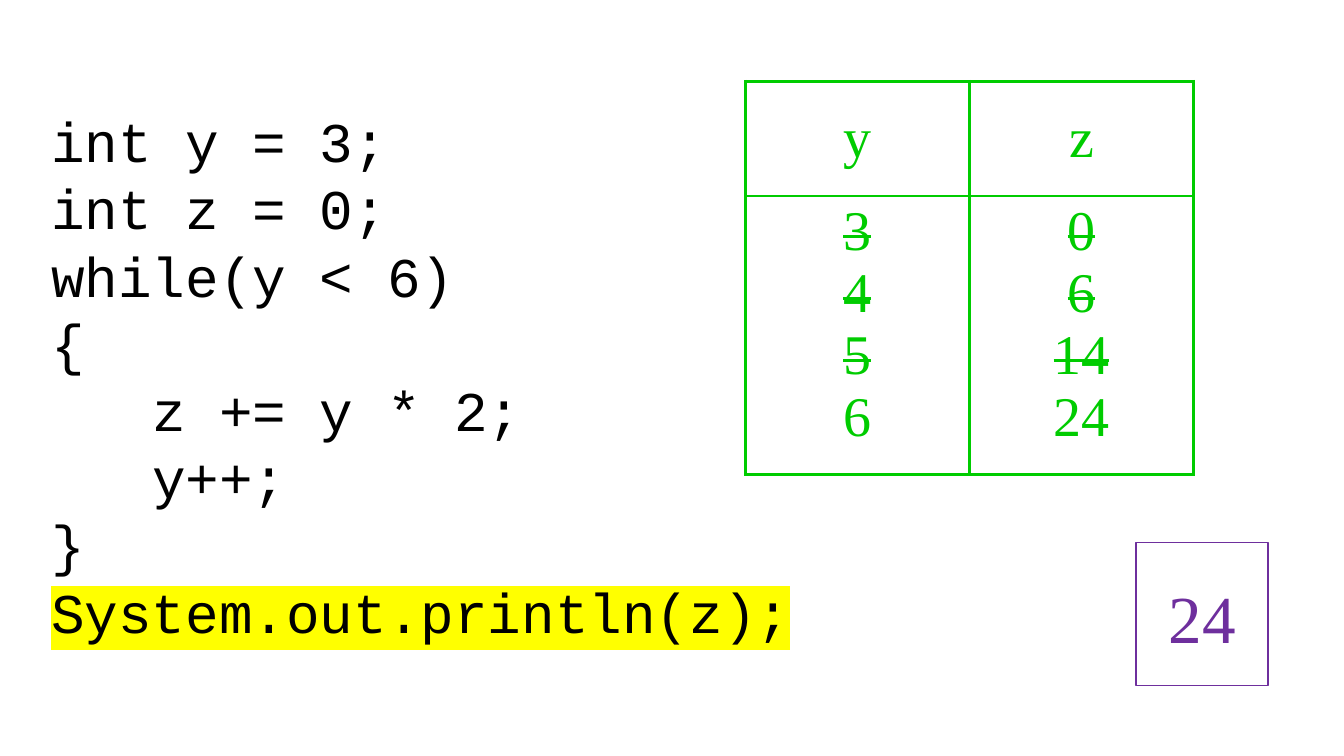
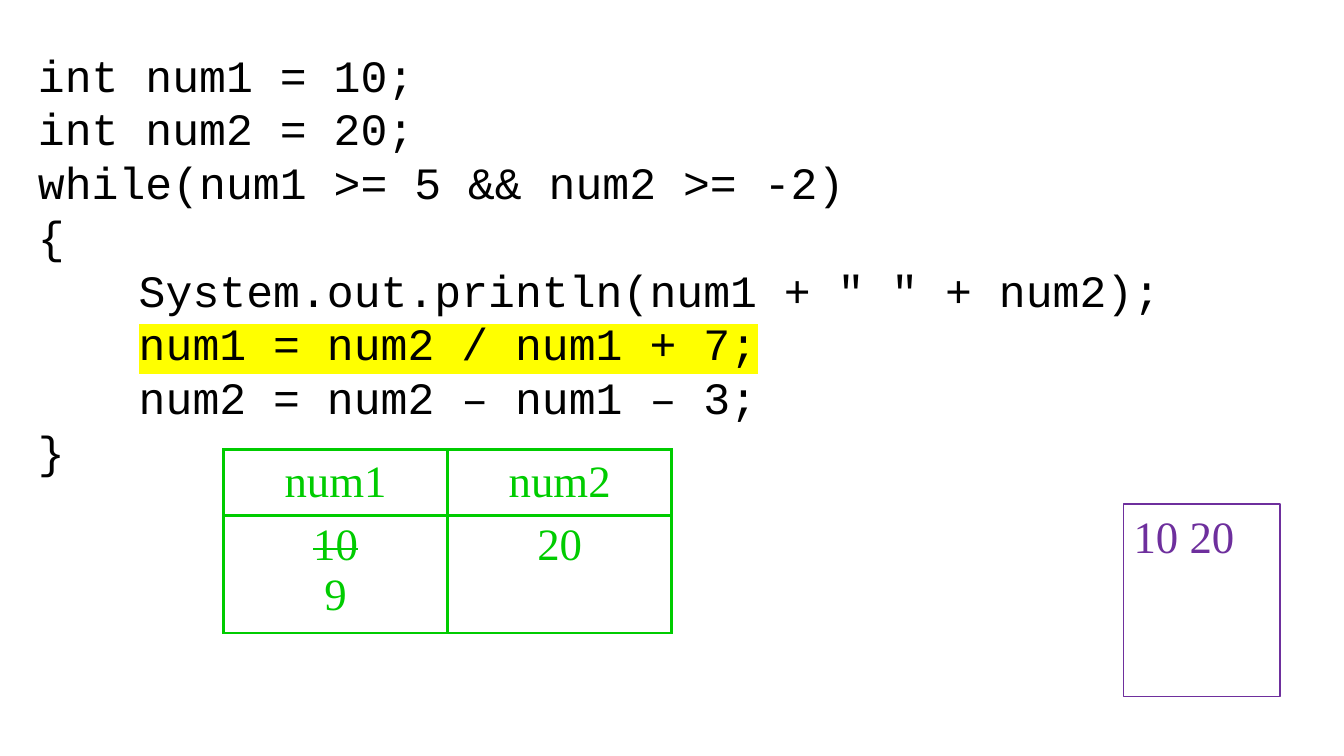
from pptx import Presentation
from pptx.dml.color import RGBColor
from pptx.enum.shapes import MSO_SHAPE
from pptx.enum.text import MSO_ANCHOR, PP_ALIGN
from pptx.oxml.ns import qn
from pptx.util import Pt
from lxml.etree import SubElement, Element

THEME = {
    "ink": "000000", "trace": "00CC00", "output": "6E2F9D", "marker": "FFFF00",
    "code_font": "Courier New", "value_font": "Times New Roman",
    "border": 2.25, "frame": 1, "tab": 72,
}

# Content: "current" is the highlighted line; values before the last are struck out
SLIDES = [
    {
        "size": 40,
        "code": ["int y = 3;", "int z = 0;", "while(y < 6)", "{",
                 "\tz += y * 2;", "\ty++;", "}", "System.out.println(z);"],
        "current": 7,
        "code_at": (29.5, 72.7, 630, 395.3),
        "trace": {"y": ["3", "4", "5", "6"], "z": ["0", "6", "14", "24"]},
        "trace_at": (532.4, 58, 320.2),
        "rows": (82, 199),
        "output": "24",
        "output_at": (811.4, 387.4, 94.5, 102.2),
        "output_size": 48,
        "output_anchor": MSO_ANCHOR.MIDDLE,
        "output_format": {"alignment": PP_ALIGN.CENTER, "line_spacing": 1.07,
                          "space_after": Pt(8)},
    },
    {
        "size": 32,
        "code": ["int num1 = 10;", "int num2 = 20;",
                 "while(num1 >= 5 && num2 >= -2)", "{",
                 '\tSystem.out.println(num1 + " " + num2);',
                 "\tnum1 = num2 / num1 + 7;", "\tnum2 = num2 – num1 – 3;", "}"],
        "current": 5,
        "code_at": (20, 30.2, 879, 317.5),
        "trace": {"num1": ["10", "9"], "num2": ["20"]},
        "trace_at": (159.7, 321.1, 320.2),
        "rows": (47, 84),
        "output": "10 20",
        "output_at": (802.6, 360, 111.8, 137.5),
        "output_size": 32,
        "output_anchor": MSO_ANCHOR.TOP,
        "output_format": {"alignment": PP_ALIGN.LEFT},
    },
]


def color(name):
    return RGBColor.from_string(THEME[name])


def apply(target, formats):
    for name, value in formats.items():
        setattr(target, name, value)


def add_span(para, text, size, font, ink):
    span = para.add_run()
    span.text = text
    span.font.color.rgb = color(ink)
    apply(span.font, {"size": Pt(size), "name": THEME[font]})
    return span


def highlight(span):
    marker = Element(qn("a:highlight"))
    SubElement(marker, qn("a:srgbClr"), val=THEME["marker"])
    span.font.fill._xPr.find(qn("a:solidFill")).addnext(marker)


def paragraphs(frame, count):
    return [frame.paragraphs[0]] + [frame.add_paragraph() for _ in range(count - 1)]


def add_code(page, content):
    box = page.shapes.add_textbox(*map(Pt, content["code_at"]))
    frame = box.text_frame
    frame.word_wrap = True
    lines = content["code"]
    for number, (para, line) in enumerate(zip(paragraphs(frame, len(lines)), lines)):
        tabs = SubElement(para._p.get_or_add_pPr(), qn("a:tabLst"))
        SubElement(tabs, qn("a:tab"), pos=str(Pt(THEME["tab"])), algn="l")
        style = (content["size"], "code_font", "ink")
        statement = line.lstrip("\t")
        if statement != line:
            add_span(para, "\t", *style)
        span = add_span(para, statement, *style)
        if number == content["current"]:
            highlight(span)


def add_borders(cell):
    properties = cell._tc.get_or_add_tcPr()
    for position, side in enumerate(("lnL", "lnR", "lnT", "lnB")):
        line = Element(qn(f"a:{side}"), w=str(Pt(THEME["border"])))
        fill = SubElement(line, qn("a:solidFill"))
        SubElement(fill, qn("a:srgbClr"), val=THEME["trace"])
        properties.insert(position, line)


def fill_cell(cell, values, size, anchor):
    cell.fill.background()
    add_borders(cell)
    cell.vertical_anchor = anchor
    for para, value in zip(paragraphs(cell.text_frame, len(values)), values):
        para.alignment = PP_ALIGN.CENTER
        span = add_span(para, value, size, "value_font", "trace")
        if value != values[-1]:
            span.font._element.set("strike", "sngStrike")


def add_trace(page, content):
    trace, rows = content["trace"], content["rows"]
    left, top, width = content["trace_at"]
    table = page.shapes.add_table(len(rows), len(trace), Pt(left), Pt(top),
                                  Pt(width), Pt(sum(rows))).table
    apply(table, {"first_row": False, "horz_banding": False})
    for row, height in zip(table.rows, rows):
        row.height = Pt(height)
    for column, (name, values) in enumerate(trace.items()):
        table.columns[column].width = Pt(width / len(trace))
        fill_cell(table.cell(0, column), [name], content["size"], MSO_ANCHOR.MIDDLE)
        fill_cell(table.cell(1, column), values, content["size"], MSO_ANCHOR.TOP)


def add_output(page, content):
    box = page.shapes.add_shape(MSO_SHAPE.RECTANGLE, *map(Pt, content["output_at"]))
    box.shadow.inherit = False
    box.fill.background()
    box.line.color.rgb = color("output")
    box.line.width = Pt(THEME["frame"])
    apply(box.text_frame, {"word_wrap": True,
                           "vertical_anchor": content["output_anchor"]})
    para = box.text_frame.paragraphs[0]
    apply(para, content["output_format"])
    add_span(para, content["output"], content["output_size"], "value_font", "output")


def main():
    deck = Presentation()
    apply(deck, {"slide_width": Pt(960), "slide_height": Pt(540)})
    blank = deck.slide_layouts[6]
    for content in SLIDES:
        page = deck.slides.add_slide(blank)
        for add_part in (add_code, add_trace, add_output):
            add_part(page, content)
    deck.save("out.pptx")


if __name__ == "__main__":
    main()
